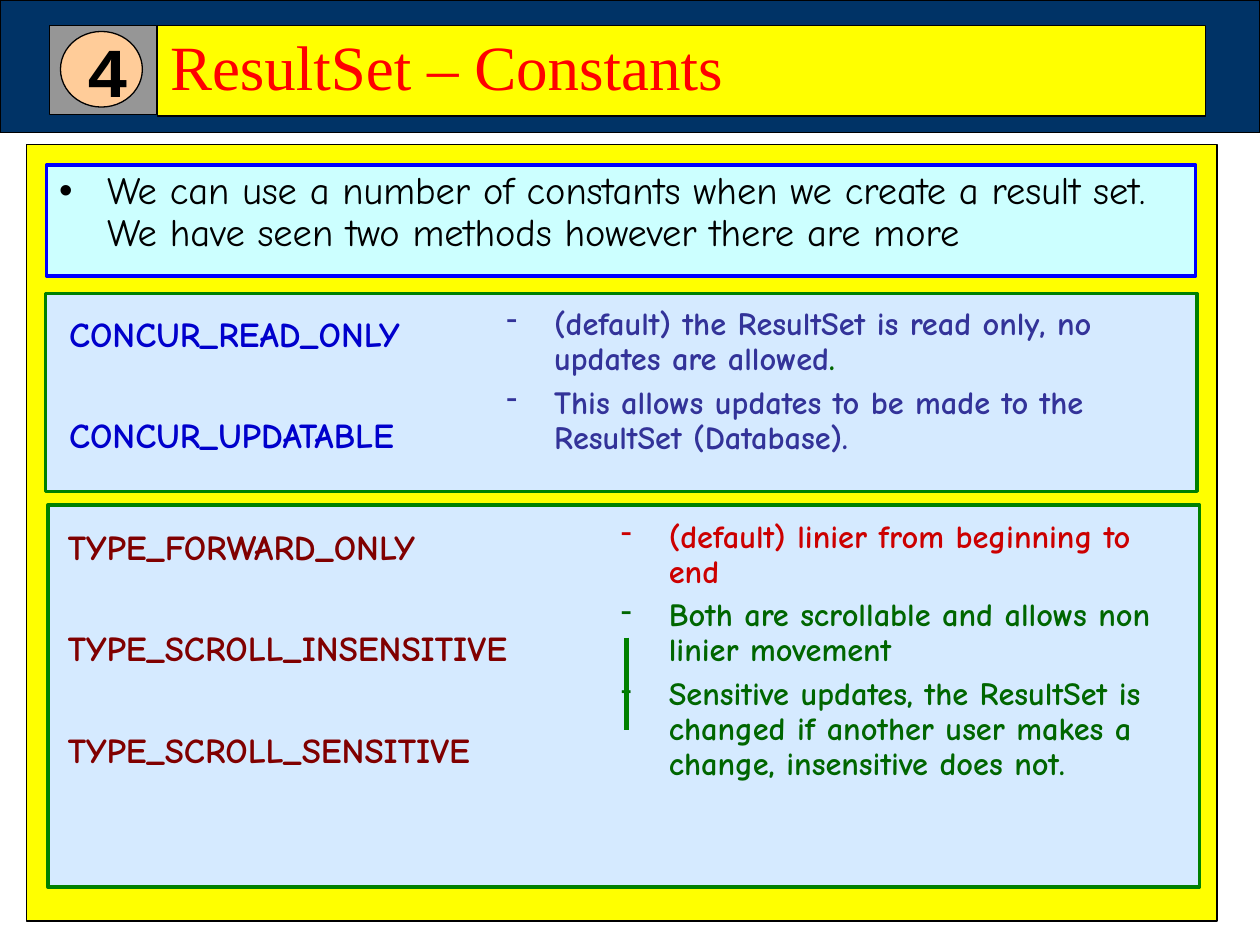
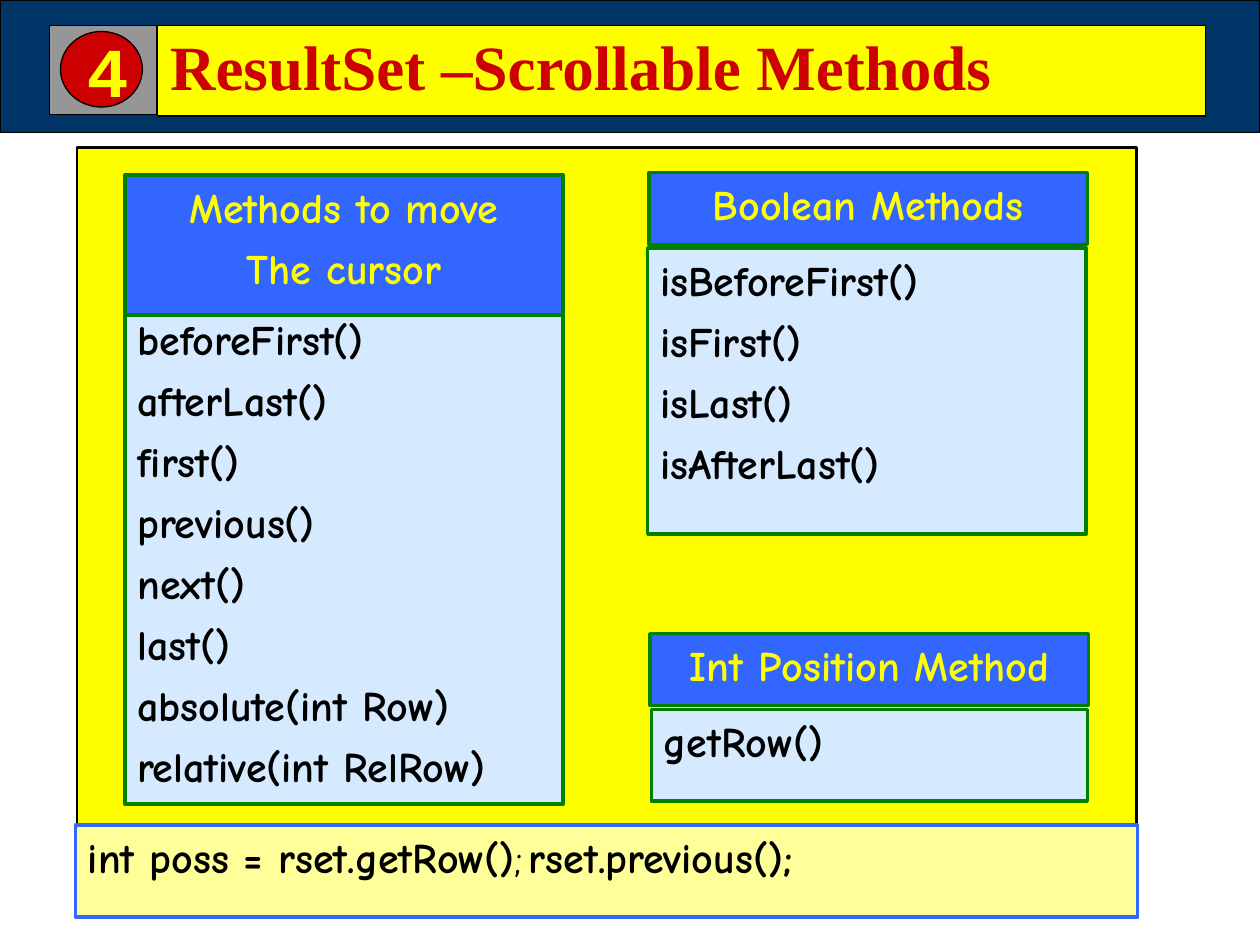
from dataclasses import dataclass

from lxml.etree import SubElement
from pptx import Presentation
from pptx.dml.color import RGBColor as RGB
from pptx.enum.shapes import MSO_CONNECTOR as CONN, MSO_SHAPE as SHAPE
from pptx.enum.text import MSO_ANCHOR as ANCHOR, MSO_AUTO_SIZE as AUTO, PP_ALIGN as ALIGN
from pptx.oxml.ns import qn
from pptx.util import Pt

SCALE = 9144


@dataclass(frozen=True)
class Theme:
    """Colours, fonts and type sizes of the deck."""
    black: str = "000000"
    yellow: str = "FFFF00"
    navy: str = "003366"
    gray: str = "969696"
    peach: str = "FFCC99"
    red: str = "FF0000"
    crimson: str = "CC0000"
    cyan: str = "CCFFFF"
    pale: str = "D5EAFF"
    cream: str = "FFFF99"
    blue: str = "0000FF"
    royal: str = "3366FF"
    cobalt: str = "0000CC"
    indigo: str = "333399"
    maroon: str = "800000"
    green: str = "008000"
    forest: str = "006600"
    body_font: str = "Comic Neue"
    title_font: str = "Times New Roman"
    badge_font: str = "Courier New"
    title: float = 36
    badge: float = 40
    code: float = 24
    intro: float = 22
    constant: float = 20
    note: float = 18.5


T = Theme()


def px(*lengths):
    """Turn px lengths into EMU."""
    return [n * SCALE for n in lengths]


class Deck:
    """Holds the style and the current slide."""

    def __init__(self):
        """Start a 1000 by 750 px presentation."""
        self.prs = Presentation()
        self.prs.slide_width, self.prs.slide_height = px(1000, 750)
        self.s = None

    def slide(self, layout, title, title_fmt, badge_fill, badge_color):
        """Add a slide with the header band, title and badge."""
        self.s = self.prs.slides.add_slide(self.prs.slide_layouts[layout])
        self.box((0, 0, 1000, 105), T.navy)
        sp = self.box((125, 20, 832, 72), T.yellow, ph=0)
        self.text(sp, [title], {"name": T.title_font, "size": T.title, **title_fmt},
                  before=9, spacing=0.9, anchor=ANCHOR.MIDDLE)
        self.box((39, 20, 85, 71), T.gray)
        sp = self.box((48, 25, 65, 60), badge_fill, shape=SHAPE.OVAL)
        fmt = {"name": T.badge_font, "size": T.badge, "bold": True, "color": badge_color}
        self.text(sp, ["4"], fmt, before=0, align=ALIGN.CENTER, anchor=ANCHOR.MIDDLE)
        for name, value in {"margin_left": px(10)[0], "margin_right": 0,
                            "word_wrap": False}.items():
            setattr(sp.text_frame, name, value)

    def box(self, at, fill, line=T.black, width=0.75, ph=None, shape=SHAPE.RECTANGLE):
        """Draw a filled shape, or place a placeholder on top, at px bounds."""
        if ph is None:
            sp = self.s.shapes.add_shape(shape, *px(*at))
            sp.shadow.inherit = False
        else:
            sp = self.s.placeholders[ph]
            sp.left, sp.top, sp.width, sp.height = px(*at)
            self.s.shapes.element.append(sp.element)
        sp.fill.solid()
        sp.fill.fore_color.rgb = RGB.from_string(fill)
        if line:
            sp.line.color.rgb = RGB.from_string(line)
            sp.line.width = Pt(width)
        else:
            sp.line.fill.background()
        return sp

    def text(self, sp, paras, fmt, before=6, gap=None, spacing=1.0, bullet=None,
             tab=None, align=ALIGN.LEFT, anchor=ANCHOR.TOP):
        """Write paragraphs, each a string or a list of (text, format) runs."""
        tf = sp.text_frame
        frame = {"word_wrap": True, "auto_size": AUTO.NONE, "vertical_anchor": anchor}
        for name, value in frame.items():
            setattr(tf, name, value)
        for i, para in enumerate(paras):
            p = tf.add_paragraph() if i else tf.paragraphs[0]
            space = gap if i and gap else before
            for name, value in {"alignment": align, "line_spacing": spacing,
                                "space_before": Pt(space)}.items():
                setattr(p, name, value)
            runs = [(para, {})] if isinstance(para, str) else para
            self.marker(p, bullet, {**fmt, **runs[0][1]}["color"], tab)
            for words, extra in runs:
                r = p.add_run()
                r.text = words
                self.font(r.font, {**fmt, **extra})

    def font(self, font, fmt):
        """Apply a dict of font values."""
        for name, value in {"bold": False, **fmt}.items():
            if name == "color":
                font.color.rgb = RGB.from_string(value)
            else:
                setattr(font, name, Pt(value) if name == "size" else value)

    def marker(self, p, bullet, color, tab):
        """Set the bullet, hanging indent and tab stop of a paragraph."""
        pr = p._p.get_or_add_pPr()
        hang = px(38)[0] if bullet else 0
        pr.set("marL", str(hang))
        pr.set("indent", str(-hang))
        if bullet:
            SubElement(SubElement(pr, qn("a:buClr")), qn("a:srgbClr"), val=color)
            SubElement(pr, qn("a:buChar"), char=bullet)
        else:
            SubElement(pr, qn("a:buNone"))
        if tab:
            tabs = SubElement(pr, qn("a:tabLst"))
            SubElement(tabs, qn("a:tab"), pos=str(px(tab)[0]), algn="l")

    def line(self, ends, color, width):
        """Draw a straight line between px points."""
        c = self.s.shapes.add_connector(CONN.STRAIGHT, *px(*ends))
        c.line.color.rgb = RGB.from_string(color)
        c.line.width = Pt(width)
        SubElement(c.element.spPr, qn("a:effectLst"))

    def constants(self, panel, names_at, names, color, notes_at, notes):
        """Draw a panel with constant names on the left and notes on the right."""
        self.box(panel, T.pale, T.green, 2)
        fmt = {"name": T.body_font, "bold": True}
        sp = self.box(names_at, T.pale, None)
        self.text(sp, names, {**fmt, "size": T.constant, "color": color}, before=5, gap=34)
        sp = self.box(notes_at, T.pale, None)
        self.text(sp, notes, {**fmt, "size": T.note, "color": T.indigo},
                  before=5, spacing=0.9, bullet="-")

    def methods(self, head_at, head, list_at, names, head_ph=None, list_ph=None):
        """Draw a list of methods under a blue heading."""
        fmt = {"name": T.body_font, "size": T.code, "bold": True}
        sp = self.box(list_at, T.pale, T.green, 2, list_ph)
        self.text(sp, names, {**fmt, "color": T.black})
        sp = self.box(head_at, T.royal, T.green, 2, head_ph)
        self.text(sp, head, {**fmt, "color": T.yellow}, align=ALIGN.CENTER)


def constants_slide(d):
    """Build the slide on result set constants."""
    d.slide(1, "ResultSet – Constants", {"color": T.red}, T.peach, T.black)
    d.box((21, 115, 945, 616), T.yellow)
    sp = d.box((37, 131, 912, 88), T.cyan, T.blue, 2, ph=1)
    d.text(sp, ["We can use a number of constants when we create a result set. "
                "We have seen two methods however there are more"],
           {"name": T.body_font, "size": T.intro, "color": T.black},
           before=5.5, spacing=0.9, bullet="•")
    d.constants(
        (36, 233, 914, 157),
        (45, 243, 351, 128), ["CONCUR_READ_ONLY", "CONCUR_UPDATABLE"], T.cobalt,
        (392, 239, 534, 145),
        [[("(default) the ResultSet is read only, no updates are allowed", {}),
          (".", {"color": T.forest})],
         "This allows updates to be made to the ResultSet (Database)."])
    forest = {"color": T.forest}
    d.constants(
        (38, 401, 914, 303),
        (44, 412, 442, 221),
        ["TYPE_FORWARD_ONLY", "TYPE_SCROLL_INSENSITIVE", "TYPE_SCROLL_SENSITIVE"], T.maroon,
        (483, 408, 448, 284),
        [[("(default) linier from beginning to end", {"color": T.crimson})],
         [("Both are scrollable and allows non linier movement", forest)],
         [("Sensitive updates, the ResultSet is changed if another user makes a change, "
           "insensitive does not.", forest)]])
    d.line((497, 506, 497, 579), T.green, 3)


def methods_slide(d):
    """Build the slide on scrollable methods."""
    d.slide(4, "ResultSet –Scrollable Methods", {"color": T.crimson, "bold": True},
            T.crimson, T.yellow)
    d.box((61, 117, 841, 539), T.yellow, width=1.25)
    d.methods((99, 139, 348, 111), ["Methods to move", "The cursor"],
              (99, 244, 348, 394),
              ["beforeFirst()", "afterLast()", "first()", "previous()", "next()", "last()",
               "absolute(int Row)", "relative(int RelRow)"], 1, 2)
    d.methods((515, 137, 348, 57), ["Boolean Methods"], (514, 197, 348, 227),
              ["isBeforeFirst()", "isFirst()", "isLast()", "isAfterLast()"], 3, 4)
    d.methods((516, 503, 348, 57), ["Int Position Method"], (517, 563, 346, 73), ["getRow()"])
    sp = d.box((60, 655, 843, 73), T.cream, T.royal, 2)
    d.text(sp, [[("int poss = rset.getRow()", {}), (";\t", {"bold": False}),
                 ("rset.previous();", {})]],
           {"name": T.body_font, "size": T.code, "bold": True, "color": T.black}, tab=468)


def main():
    """Build and save the deck."""
    d = Deck()
    constants_slide(d)
    methods_slide(d)
    d.prs.save("out.pptx")


if __name__ == "__main__":
    main()
